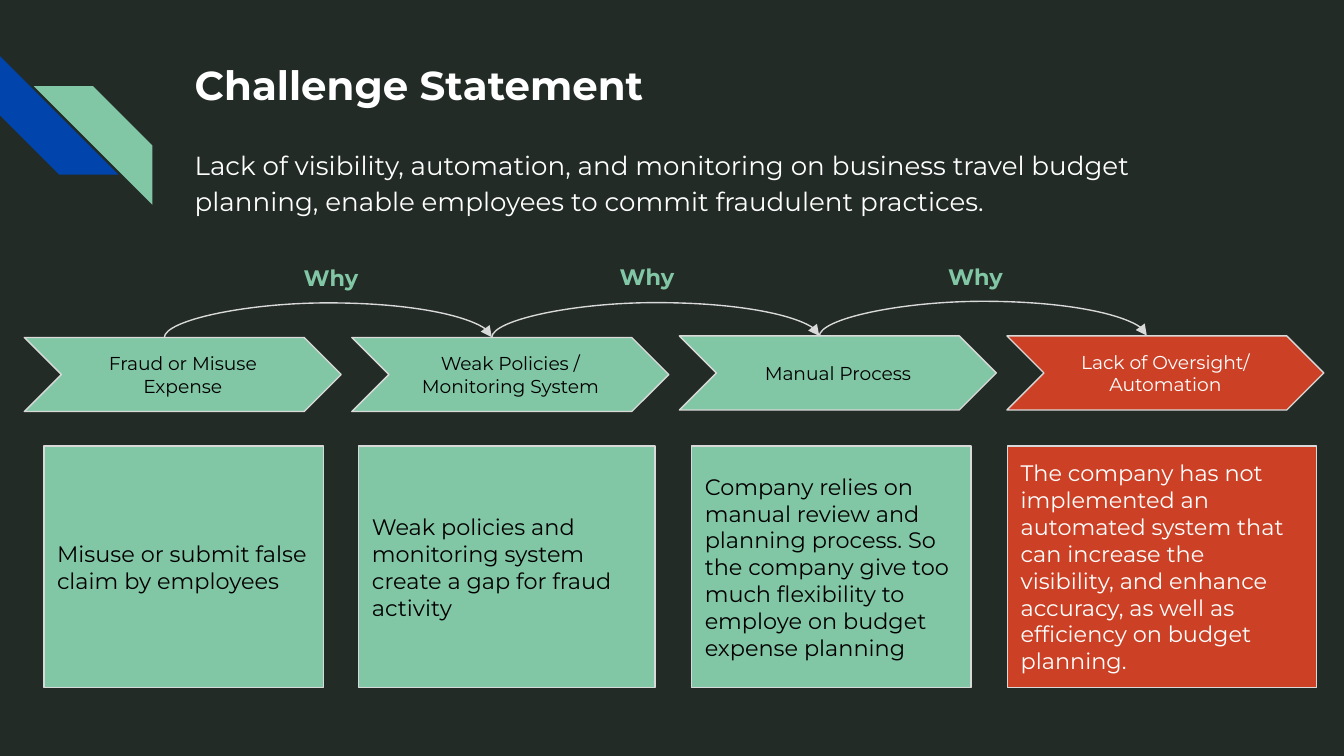
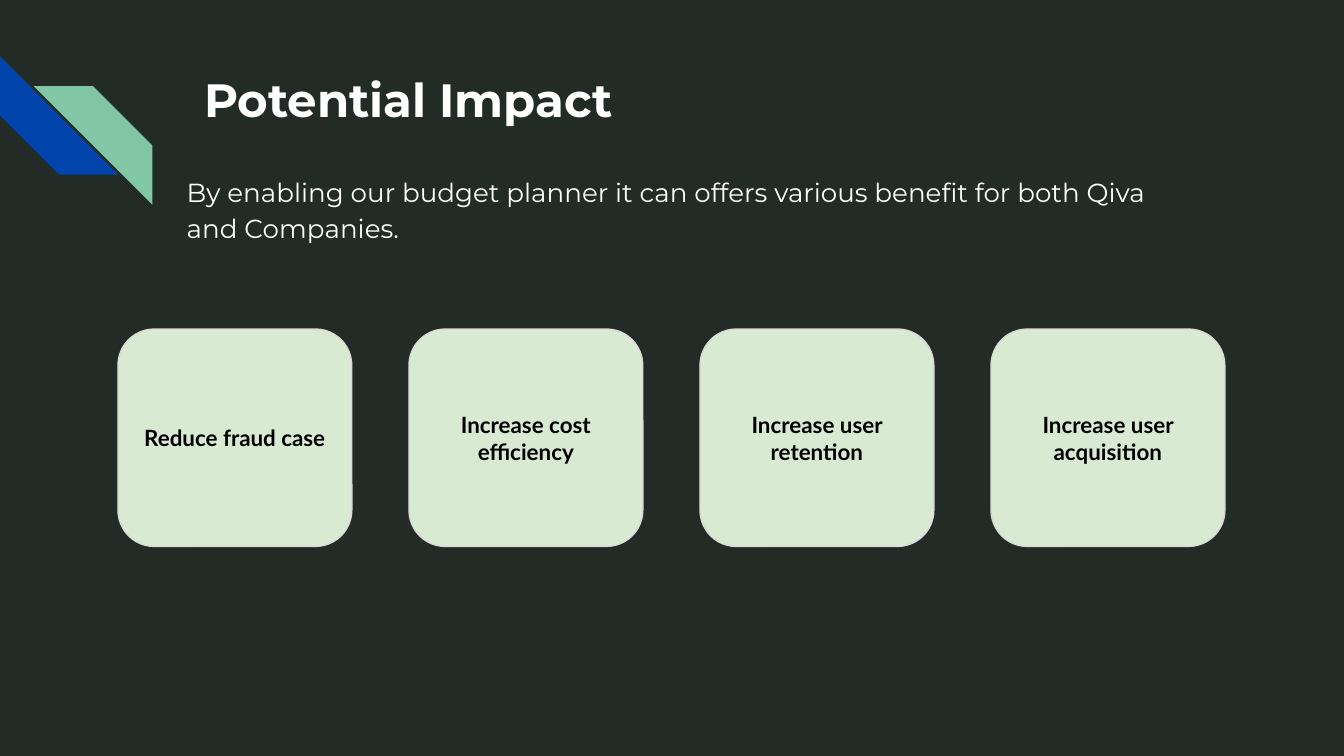
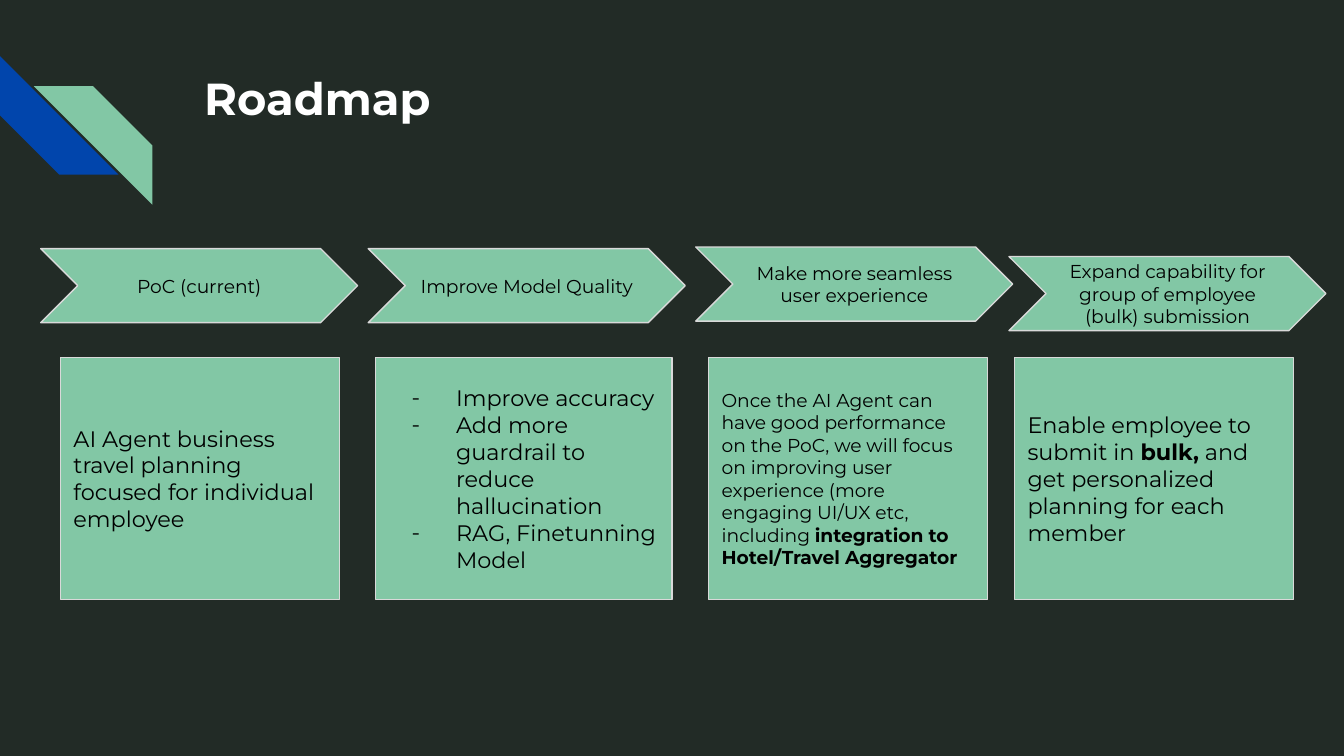
from lxml import etree
from pptx import Presentation
from pptx.dml.color import RGBColor
from pptx.enum import shapes, text
from pptx.oxml import ns
from pptx.util import Cm, Pt

NIGHT, BLUE, MINT, PALE = "222B26", "0145AC", "82C7A5", "D9EAD3"
RED, GREY, WHITE, BLACK = "CC4125", "D9D9D9", "FFFFFF", "000000"
FORM = shapes.MSO_SHAPE
STEP_WIDTH, STEP_HEIGHT, STEP_PITCH = 5.99, 1.4, 6.19
CARD_WIDTH, CARD_HEIGHT = 5.28, 4.57


def color(value):
    """Turn a hex string into a colour."""
    return RGBColor.from_string(value)


def child(parent, tag, **attributes):
    """Append a drawing element to a parent element."""
    return etree.SubElement(parent, ns.qn(tag), attributes)


class Deck:
    """Holds the style and the current page."""

    def __init__(self):
        """Open a widescreen deck."""
        self.deck = Presentation()
        self.deck.slide_width, self.deck.slide_height = Cm(25.4), Cm(14.29)
        self.page = None

    def add_page(self):
        """Start a dark page with the two corner stripes."""
        self.page = self.deck.slides.add_slide(self.deck.slide_layouts[6])
        fill = self.page.background.fill
        fill.solid()
        fill.fore_color.rgb = color(NIGHT)
        self.shape(FORM.DIAGONAL_STRIPE, 0, 1.06, 2.24, 2.24, BLUE).rotation = 270
        stripe = self.shape(FORM.DIAGONAL_STRIPE, 0.64, 1.63, 2.24, 2.24, MINT)
        stripe.element.spPr.find(ns.qn("a:xfrm")).set("flipH", "1")

    def shape(self, form, left, top, width, height, fill, line=None):
        """Draw a filled preset shape."""
        box = self.page.shapes.add_shape(form, Cm(left), Cm(top), Cm(width), Cm(height))
        box.shadow.inherit = False
        box.fill.solid()
        box.fill.fore_color.rgb = color(fill)
        if line:
            box.line.color.rgb = color(line)
            box.line.width = Pt(0.75)
        else:
            box.line.fill.background()
        return box

    def set_words(self, box, words, size, ink, bold=False, font="Montserrat",
                  centered=False, middle=True, strong="", bullets=False):
        """Fill a box with words, one paragraph a line."""
        frame = box.text_frame
        frame.word_wrap = True
        frame.margin_left = frame.margin_right = Cm(0.25)
        frame.margin_top = frame.margin_bottom = Cm(0.25)
        frame.vertical_anchor = text.MSO_ANCHOR.MIDDLE if middle else text.MSO_ANCHOR.TOP
        frame.text = words
        for para in frame.paragraphs:
            para.alignment = text.PP_ALIGN.CENTER if centered else text.PP_ALIGN.LEFT
            if bullets:
                self.bullet(para, ink)
            if strong:
                before, match, after = para.text.partition(strong)
                para.text = before
                for part in filter(None, (match, after)):
                    para.add_run().text = part
            for span in para.runs:
                span.font.name = font
                span.font.size = Pt(size)
                span.font.bold = bold or span.text == strong
                span.font.color.rgb = color(ink)
        return frame

    def bullet(self, para, ink):
        """Give a paragraph a hanging dash."""
        properties = para._p.get_or_add_pPr()
        properties.set("marL", str(Cm(1.27)))
        properties.set("indent", str(Cm(-0.84)))
        child(child(properties, "a:buClr"), "a:srgbClr", val=ink)
        child(properties, "a:buFont", typeface="Montserrat")
        child(properties, "a:buChar", char="-")

    def label(self, words, left, top, width, height, size, ink=WHITE, bold=True):
        """Place free text."""
        box = self.page.shapes.add_textbox(Cm(left), Cm(top), Cm(width), Cm(height))
        return self.set_words(box, words, size, ink, bold, middle=False)

    def body(self, words, left, top, height):
        """Place the introduction under the title."""
        para = self.label(words, left, top, 19.56, height, 14, bold=False).paragraphs[0]
        para.line_spacing = 1.15
        para.space_after = Pt(12)

    def step(self, words, left, top, fill=MINT, ink=BLACK):
        """Draw one chevron of a process."""
        box = self.shape(FORM.CHEVRON, left, top, STEP_WIDTH, STEP_HEIGHT, fill, GREY)
        self.set_words(box, words, 10, ink, centered=True)

    def card(self, words, left, top, width=CARD_WIDTH, fill=MINT, ink=BLACK, size=12, **style):
        """Draw the explanation under a chevron."""
        box = self.shape(FORM.RECTANGLE, left, top, width, CARD_HEIGHT, fill, GREY)
        self.set_words(box, words, size, ink, **style)

    def tile(self, words, left, top):
        """Draw a rounded benefit tile."""
        box = self.shape(FORM.ROUNDED_RECTANGLE, left, top, 4.42, 4.11, PALE, GREY)
        self.set_words(box, words, 12, BLACK, True, "Lato", centered=True)

    def arch(self, start, start_top, end_top, bulge=0.66):
        """Draw a curved arrow over one step pitch."""
        rise = max(start_top - end_top, 0.01)
        arrow = self.page.shapes.add_connector(shapes.MSO_CONNECTOR.CURVE, 0, 0, 0, 0)
        arrow.left = Cm(start + (STEP_PITCH - rise) / 2)
        arrow.top = Cm((start_top + end_top - STEP_PITCH) / 2)
        arrow.width, arrow.height = Cm(rise), Cm(STEP_PITCH)
        arrow.line.color.rgb = color(GREY)
        arrow.line.width = Pt(0.75)
        properties = arrow.element.spPr
        properties.find(ns.qn("a:xfrm")).set("rot", str(270 * 60000))
        guides = properties.find(ns.qn("a:prstGeom")).find(ns.qn("a:avLst"))
        child(guides, "a:gd", name="adj1", fmla=f"val {round(bulge / rise * 100000)}")
        child(properties.find(ns.qn("a:ln")), "a:tailEnd", type="triangle")
        child(properties, "a:effectLst")


def challenge(deck):
    """Build the chain of causes."""
    deck.add_page()
    deck.label("Challenge Statement", 3.43, 0.89, 19.05, 1.47, 21.6)
    deck.body("Lack of visibility, automation, and monitoring on business travel budget "
              "planning, enable employees to commit fraudulent practices.", 3.43, 2.49, 2.46)
    first, tops = 0.46, (6.38, 6.38, 6.35, 6.35)
    causes = [
        ("Fraud or Misuse Expense", "Misuse or submit false claim by employees",
         0.83, CARD_WIDTH, MINT, BLACK),
        ("Weak Policies / Monitoring System",
         "Weak policies and monitoring system create a gap for fraud activity",
         6.78, 5.6, MINT, BLACK),
        ("Manual Process",
         "Company relies on manual review and planning process. So the company give too "
         "much flexibility to employe on budget expense planning",
         13.07, CARD_WIDTH, MINT, BLACK),
        ("Lack of Oversight/ Automation",
         "The company has not implemented an automated system that can increase the "
         "visibility, and enhance accuracy, as well as efficiency on budget planning.",
         19.04, 5.84, RED, WHITE),
    ]
    for index, (name, detail, left, width, fill, ink) in enumerate(causes):
        deck.step(name, first + index * STEP_PITCH, tops[index], fill, ink)
        deck.card(detail, left, 8.43, width, fill, ink)
    middle = first + (STEP_WIDTH - STEP_HEIGHT / 2) / 2
    for index, (left, top) in enumerate([(5.49, 4.75), (11.46, 4.73), (17.67, 4.73)]):
        deck.arch(middle + index * STEP_PITCH, tops[index], tops[index + 1])
        deck.label("Why", left, top, 2.31, 0.91, 12, MINT)


def impact(deck):
    """Build the row of benefits."""
    deck.add_page()
    deck.label("Potential Impact", 3.61, 1.09, 19.56, 2.54, 25)
    benefits = ["Reduce fraud case", "Increase cost efficiency",
                "Increase user retention", "Increase user acquisition"]
    for index, benefit in enumerate(benefits):
        deck.tile(benefit, 2.23 + index * 5.5, 6.22)
    deck.body("By enabling our budget planner it can offers various benefit for both Qiva "
              "and Companies.", 3.28, 3, 3.05)


def roadmap(deck):
    """Build the four stages of the plan."""
    deck.add_page()
    deck.label("Roadmap", 3.61, 1.09, 19.56, 2.54, 24)
    stages = [("PoC (current)", 0.77, 4.7), ("Improve Model Quality", 6.96, 4.7),
              ("Make more seamless user experience", 13.15, 4.67),
              ("Expand capability for group of employee (bulk) submission", 19.07, 4.85)]
    for name, left, top in stages:
        deck.step(name, left, top)
    top = 6.76
    deck.card("AI Agent business travel planning focused for individual employee", 1.14, top)
    deck.card("Improve accuracy\nAdd more guardrail to reduce hallucination\n"
              "RAG, Finetunning Model", 7.1, top, 5.6, bullets=True)
    deck.card("Once the AI Agent can have good performance on the PoC, we will focus on "
              "improving user experience (more engaging UI/UX etc, including integration to "
              "Hotel/Travel Aggregator", 13.39, top, size=10,
              strong="integration to Hotel/Travel Aggregator")
    deck.card("Enable employee to submit in bulk, and get personalized planning for each "
              "member", 19.17, top, strong="bulk,")


def main():
    """Build and save the deck."""
    deck = Deck()
    for build in (challenge, impact, roadmap):
        build(deck)
    deck.deck.save("out.pptx")


if __name__ == "__main__":
    main()
